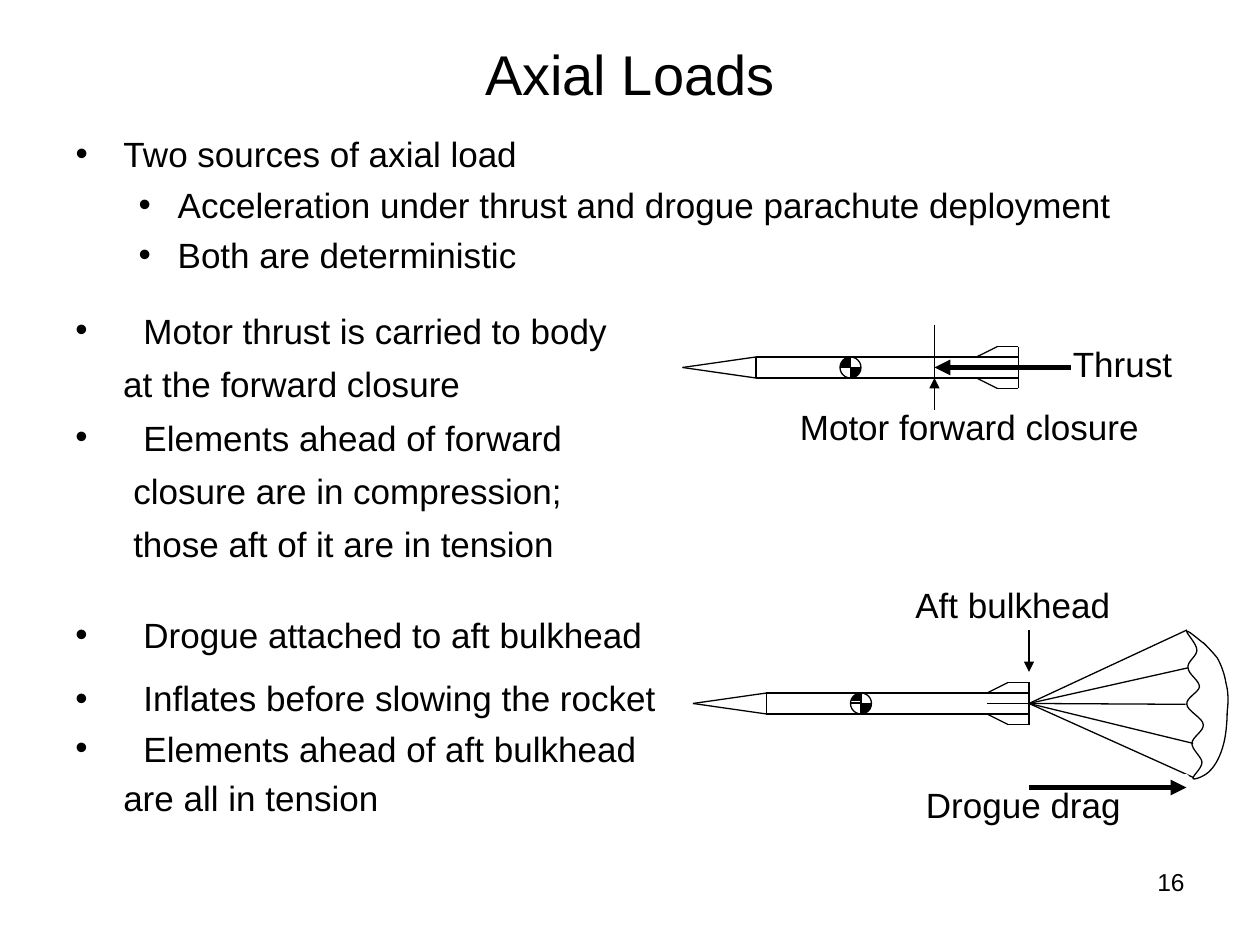
from math import sqrt

from lxml import etree
from pptx import Presentation
from pptx.dml.color import RGBColor
from pptx.enum.shapes import MSO_CONNECTOR, MSO_SHAPE
from pptx.enum.text import MSO_ANCHOR, MSO_AUTO_SIZE, PP_ALIGN
from pptx.oxml.ns import qn
from pptx.util import Inches, Pt

STRAIGHT = MSO_CONNECTOR.STRAIGHT
OVAL = MSO_SHAPE.OVAL
CENTER, LEFT, RIGHT = PP_ALIGN.CENTER, PP_ALIGN.LEFT, PP_ALIGN.RIGHT
BLACK, WHITE = "000000", "FFFFFF"
FONT = "Arial"
UNITS_PER_INCH = 12
THIN, THICK = 0.75, 3

TITLE = "Axial Loads"
TITLE_BOX = (6, 3, 108, 8)
SOURCES_BOX = (6, 12, 108, 15)
SOURCES = [
    ("Two sources of axial load", 0, 0.38, 0.38),
    ("Acceleration under thrust and drogue parachute deployment", 1, 0.81, 0.31),
    ("Both are deterministic", 1, 0.81, 0.31),
]

BULLET_INDENT = 0.54
POINT_BLOCKS = [
    ((6, 29.8, 54, 30), [
        ("Motor thrust is carried to body", True, 0.54, 0.75),
        ("at the forward closure", False, 0.38, 0.75),
        ("Elements ahead of forward", True, 0.54, 0.75),
        ("closure are in compression;", False, 0.46, 0.75),
        ("those aft of it are in tension", False, 0.46, 0.75),
    ]),
    ((6, 57.8, 58, 20), [
        ("Drogue attached to aft bulkhead", True, 0.54, 1.0),
        ("Inflates before slowing the rocket", True, 0.54, 1.0),
        ("Elements ahead of aft bulkhead", True, 0.54, 0.65),
        ("are all in tension", False, 0.38, 0.65),
    ]),
]

ROCKET_TIPS = [(65, 35), (66, 67)]
ROCKET_MIDDLE = [((7, -1), (7, 1)), ((32, -2), (32, 2)), ((28, 0), (32, 0))]
ROCKET_SIDE = [((0, 0), (7, 1)), ((7, 1), (32, 1)), ((28, 1), (30, 2)), ((30, 2), (32, 2))]
GRAVITY_CENTER = 16
HATCH_STEPS = 8

BULKHEAD = (98, 67)
CORD_ENDS = [(9.42, 5), (9.43, 5.3), (9.41, 5.59), (9.47, 5.9), (9.47, 6.17)]
CANOPY = [
    (9.55, 5.1),
    (9.57, 5.12), (9.62, 5.17), (9.66, 5.22), (9.69, 5.27), (9.72, 5.35), (9.73, 5.42),
    (9.75, 5.49), (9.75, 5.57), (9.74, 5.65), (9.74, 5.73), (9.73, 5.84), (9.71, 5.91),
    (9.69, 5.99), (9.65, 6.07), (9.61, 6.11), (9.57, 6.16), (9.48, 6.19), (9.47, 6.18),
    (9.46, 6.16), (9.54, 6.1), (9.54, 6.05), (9.54, 6.01), (9.46, 5.95), (9.46, 5.9),
    (9.46, 5.85), (9.56, 5.8), (9.55, 5.75), (9.55, 5.7), (9.42, 5.64), (9.42, 5.59),
    (9.41, 5.54), (9.52, 5.49), (9.52, 5.45), (9.52, 5.4), (9.43, 5.35), (9.43, 5.3),
    (9.42, 5.25), (9.5, 5.21), (9.5, 5.16), (9.5, 5.11), (9.41, 5.02), (9.42, 5.01),
    (9.43, 5), (9.53, 5.09), (9.56, 5.11),
]

LABELS = [
    ("Thrust", (101, 32, 13, 5.3), 20, LEFT, None),
    ("Motor forward closure", (75, 38, 35, 5.3), 20, LEFT, None),
    ("Drogue drag", (87, 74, 26, 5.3), 20, LEFT, WHITE),
    ("Aft bulkhead", (86, 55, 23, 5.3), 20, LEFT, None),
    ("16", (86, 82, 28, 6.2), 14, RIGHT, None),
]
CLOSURE_LINE = ((89, 31), (89, 39))
ARROWS = [
    ((102, 35), (89, 35), THICK),
    ((89, 37), (89, 36), THIN),
    ((98, 75), (113, 75), THICK),
    ((98, 60), (98, 64), THIN),
]


def color(value):
    return RGBColor.from_string(value)


def units(*values):
    return [Inches(value / UNITS_PER_INCH) for value in values]


def format_font(paragraph, size):
    paragraph.font.name = FONT
    paragraph.font.size = Pt(size)
    paragraph.font.color.rgb = color(BLACK)


def set_line(shape, width, value=BLACK):
    shape.line.color.rgb = color(value)
    shape.line.width = Pt(width)


def set_indent(paragraph, left, hanging):
    properties = paragraph._p.get_or_add_pPr()
    properties.set("marL", str(Inches(left)))
    properties.set("indent", str(-Inches(hanging)))
    if hanging:
        etree.SubElement(properties, qn("a:buFont"), typeface=FONT)
        etree.SubElement(properties, qn("a:buChar"), char="•")
    else:
        etree.SubElement(properties, qn("a:buNone"))


def next_paragraph(frame, index):
    return frame.add_paragraph() if index else frame.paragraphs[0]


def place(shape, box):
    shape.left, shape.top, shape.width, shape.height = units(*box)
    shape.text_frame.auto_size = MSO_AUTO_SIZE.NONE
    shape.text_frame.word_wrap = True


def add_headings(slide):
    title, body = slide.placeholders
    place(title, TITLE_BOX)
    title.text_frame.vertical_anchor = MSO_ANCHOR.MIDDLE
    title.text_frame.text = TITLE
    title.text_frame.paragraphs[0].alignment = CENTER
    format_font(title.text_frame.paragraphs[0], 32)
    place(body, SOURCES_BOX)
    for index, (text, level, left, hanging) in enumerate(SOURCES):
        paragraph = next_paragraph(body.text_frame, index)
        paragraph.text = text
        paragraph.level = level
        set_indent(paragraph, left, hanging)
        paragraph.space_before = Pt(5 if index else 0)
        format_font(paragraph, 20)


def add_points(slide, box, points):
    shape = slide.shapes.add_textbox(*units(*box))
    place(shape, box)
    for index, (text, bulleted, left, spacing) in enumerate(points):
        paragraph = next_paragraph(shape.text_frame, index)
        paragraph.text = text
        set_indent(paragraph, left, BULLET_INDENT if bulleted else 0)
        paragraph.line_spacing = spacing
        paragraph.space_before = Pt(12.5 if index else 0)
        format_font(paragraph, 20)


def add_label(slide, text, box, size, alignment, outline):
    shape = slide.shapes.add_textbox(*units(*box))
    place(shape, box)
    if outline:
        set_line(shape, THICK, outline)
    paragraph = shape.text_frame.paragraphs[0]
    paragraph.text = text
    paragraph.alignment = alignment
    format_font(paragraph, size)


def add_line(slide, start, end, width=THIN, arrow=False):
    connector = slide.shapes.add_connector(STRAIGHT, *units(*start, *end))
    set_line(connector, width)
    if arrow:
        etree.SubElement(connector.line._get_or_add_ln(), qn("a:tailEnd"), type="triangle")
    etree.SubElement(connector._element.spPr, qn("a:effectLst"))


def add_rocket(slide, tip_x, tip_y):
    sides = [((x1, side * y1), (x2, side * y2))
             for side in (-1, 1) for (x1, y1), (x2, y2) in ROCKET_SIDE]
    for (x1, y1), (x2, y2) in ROCKET_MIDDLE + sides:
        add_line(slide, (tip_x + x1, tip_y + y1), (tip_x + x2, tip_y + y2))
    x, y = tip_x + GRAVITY_CENTER, tip_y
    marker = slide.shapes.add_shape(OVAL, *units(x - 1, y - 1, 2, 2))
    marker.shadow.inherit = False
    marker.fill.solid()
    marker.fill.fore_color.rgb = color(WHITE)
    set_line(marker, THIN)
    add_line(slide, (x, y - 1), (x, y + 1))
    for step in range(HATCH_STEPS):
        offset = step / HATCH_STEPS
        reach = sqrt(1 - offset ** 2)
        for side in (-1, 1):
            add_line(slide, (x, y + side * offset), (x + side * reach, y + side * offset))


def add_canopy(slide):
    points = [(Inches(x), Inches(y)) for x, y in CANOPY]
    builder = slide.shapes.build_freeform(*points[0])
    builder.add_line_segments(points[1:], close=False)
    canopy = builder.convert_to_shape()
    canopy.shadow.inherit = False
    canopy.fill.background()
    set_line(canopy, THIN)
    segments = list(canopy._element.iter(qn("a:lnTo")))
    for first in range(0, len(segments), 3):
        curve = etree.SubElement(segments[first].getparent(), qn("a:cubicBezTo"))
        for segment in segments[first:first + 3]:
            curve.append(segment[0])
            segment.getparent().remove(segment)


def main():
    presentation = Presentation()
    presentation.slide_width, presentation.slide_height = Inches(10), Inches(7.5)
    slide = presentation.slides.add_slide(presentation.slide_layouts[1])
    add_headings(slide)
    for box, points in POINT_BLOCKS:
        add_points(slide, box, points)
    for tip in ROCKET_TIPS:
        add_rocket(slide, *tip)
    add_line(slide, *CLOSURE_LINE)
    add_canopy(slide)
    for x, y in CORD_ENDS:
        add_line(slide, (x * UNITS_PER_INCH, y * UNITS_PER_INCH), BULKHEAD)
    for label in LABELS:
        add_label(slide, *label)
    for start, end, width in ARROWS:
        add_line(slide, start, end, width, arrow=True)
    presentation.save("out.pptx")


if __name__ == "__main__":
    main()
